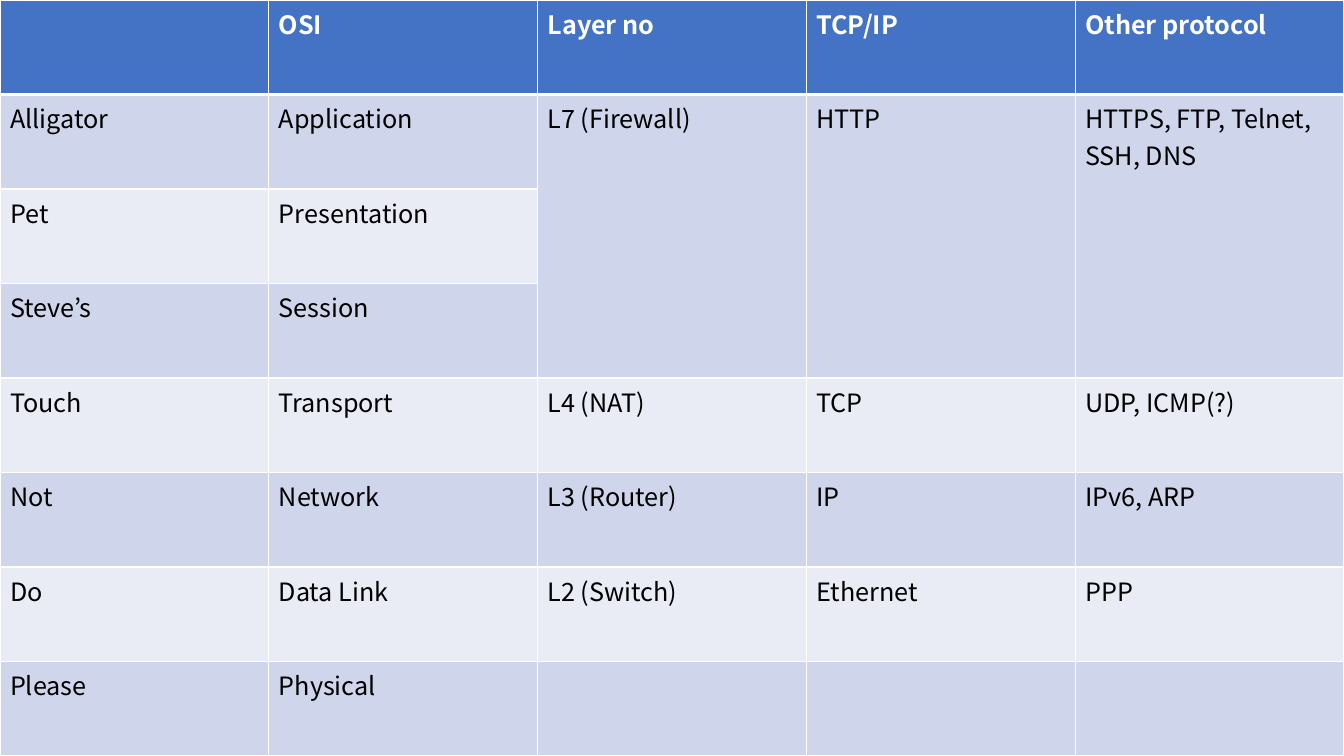
from dataclasses import dataclass

from lxml import etree
from pptx import Presentation
from pptx.dml.color import RGBColor
from pptx.oxml.ns import qn
from pptx.util import Inches, Pt

BLANK_LAYOUT = 6


@dataclass(frozen=True)
class Theme:
    font: str = "Noto Sans CJK KR"
    text_size: int = 18
    header_fill: str = "4472C4"
    header_text: str = "FFFFFF"
    body_text: str = "000000"
    bands: tuple = ("CFD5EA", "E9EBF5")
    border: str = "FFFFFF"
    thin: int = 1
    thick: int = 3


THEME = Theme()

LAYERS = [
    ["", "OSI", "Layer no", "TCP/IP", "Other protocol"],
    ["Alligator", "Application", "L7 (Firewall)", "HTTP", "HTTPS, FTP, Telnet, SSH, DNS"],
    ["Pet", "Presentation", "", "", ""],
    ["Steve’s", "Session", "", "", ""],
    ["Touch", "Transport", "L4 (NAT)", "TCP", "UDP, ICMP(?)"],
    ["Not", "Network", "L3 (Router)", "IP", "IPv6, ARP"],
    ["Do", "Data Link", "L2 (Switch)", "Ethernet", "PPP"],
    ["Please", "Physical", "", "", ""],
]
MERGED_COLUMNS = (2, 3, 4)
MERGED_FIRST_ROW, MERGED_LAST_ROW = 1, 3


def set_borders(cell, **widths):
    """Draw cell edges; widths maps the edge tags lnL, lnR, lnT, lnB to points."""
    properties = cell._tc.get_or_add_tcPr()
    for edge, width in widths.items():
        line = etree.SubElement(properties, qn(f"a:{edge}"), w=str(Pt(width)))
        fill = etree.SubElement(line, qn("a:solidFill"))
        etree.SubElement(fill, qn("a:srgbClr"), val=THEME.border)


def style_cell(cell, row):
    is_header = row == 0
    set_borders(
        cell,
        lnL=THEME.thin,
        lnR=THEME.thin,
        lnT=THEME.thick if row == 1 else THEME.thin,
        lnB=THEME.thick if is_header else THEME.thin,
    )
    fill = THEME.header_fill if is_header else THEME.bands[(row - 1) % 2]
    cell.fill.solid()
    cell.fill.fore_color.rgb = RGBColor.from_string(fill)
    font = cell.text_frame.paragraphs[0].font
    font.name = THEME.font
    font.size = Pt(THEME.text_size)
    font.bold = is_header
    font.color.rgb = RGBColor.from_string(
        THEME.header_text if is_header else THEME.body_text
    )


def add_layer_table(slide, width, height):
    row_count, column_count = len(LAYERS), len(LAYERS[0])
    table = slide.shapes.add_table(
        row_count, column_count, 0, 0, width, height
    ).table
    for column in table.columns:
        column.width = width // column_count
    for row in table.rows:
        row.height = height // row_count
    for row, texts in enumerate(LAYERS):
        for column, text in enumerate(texts):
            cell = table.cell(row, column)
            cell.text = text
            style_cell(cell, row)
    for column in MERGED_COLUMNS:
        table.cell(MERGED_FIRST_ROW, column).merge(table.cell(MERGED_LAST_ROW, column))


def main():
    presentation = Presentation()
    presentation.slide_width = Inches(13.33)
    presentation.slide_height = Inches(7.5)
    slide = presentation.slides.add_slide(presentation.slide_layouts[BLANK_LAYOUT])
    add_layer_table(slide, presentation.slide_width, presentation.slide_height)
    presentation.save("out.pptx")


if __name__ == "__main__":
    main()
